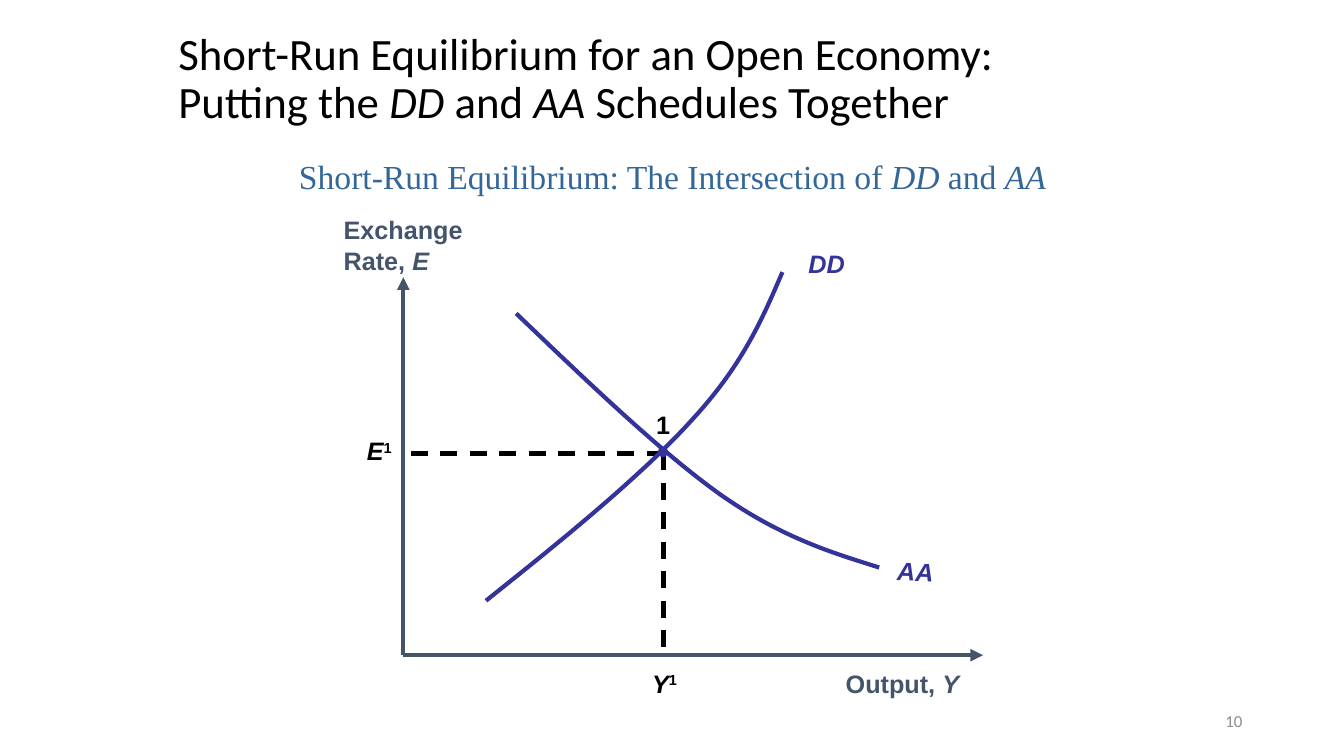
from lxml import etree
from pptx import Presentation
from pptx.dml.color import RGBColor
from pptx.enum.dml import MSO_LINE
from pptx.enum.shapes import MSO_CONNECTOR, MSO_SHAPE
from pptx.enum.text import MSO_ANCHOR, PP_ALIGN
from pptx.oxml.ns import qn
from pptx.util import Inches, Pt

BLACK = RGBColor(0x00, 0x00, 0x00)
SLATE = RGBColor(0x44, 0x54, 0x6A)
INDIGO = RGBColor(0x33, 0x33, 0x99)
STEEL_BLUE = RGBColor(0x33, 0x66, 0x99)
GRAY = RGBColor(0x8C, 0x8C, 0x8C)

presentation = Presentation()
presentation.slide_width = Inches(13.33)
presentation.slide_height = Inches(7.5)
slide = presentation.slides.add_slide(presentation.slide_layouts[6])
shapes = slide.shapes


def add_text(box, lines, font_name, size, color, bold=False, wrap=False,
             align=PP_ALIGN.LEFT, anchor=MSO_ANCHOR.TOP):
    """Add a text box; each line is a list of (text, style), style "i" or "sup" or ""."""
    shape = shapes.add_textbox(*[Inches(length) for length in box])
    frame = shape.text_frame
    frame.word_wrap = wrap
    frame.vertical_anchor = anchor
    for index, line in enumerate(lines):
        paragraph = frame.add_paragraph() if index else frame.paragraphs[0]
        paragraph.alignment = align
        for text, style in line:
            run = paragraph.add_run()
            run.text = text
            font = run.font
            font.name, font.size, font.bold = font_name, Pt(size), bold
            font.italic = style == "i"
            font.color.rgb = color
            if style == "sup":
                run._r.get_or_add_rPr().set("baseline", "30000")
    return shape


def add_line(start, end, color):
    x1, y1, x2, y2 = [Inches(length) for length in (*start, *end)]
    line = shapes.add_connector(MSO_CONNECTOR.STRAIGHT, x1, y1, x2, y2)
    line.line.color.rgb = color
    line.line.width = Pt(3)
    etree.SubElement(line._element.spPr, qn("a:effectLst"))
    return line


# Title, subtitle and page number
title = add_text(
    (1.67, 0.17, 8.58, 1.25),
    [[("Short-Run Equilibrium for an Open Economy: Putting the ", ""), ("DD", "i"),
      (" and ", ""), ("AA ", "i"), ("Schedules Together", "")]],
    "Calibri", 32, BLACK, wrap=True, anchor=MSO_ANCHOR.MIDDLE)
title.text_frame.paragraphs[0].line_spacing = 0.9
add_text(
    (1.67, 1.42, 10, 0.58),
    [[("Short-Run Equilibrium: The Intersection of ", ""), ("DD", "i"),
      (" and ", ""), ("AA", "i")]],
    "Times New Roman", 24, STEEL_BLUE, wrap=True,
    align=PP_ALIGN.CENTER, anchor=MSO_ANCHOR.BOTTOM)
add_text((9.42, 6.95, 3, 0.4), [[("10", "")]], "Calibri", 12, GRAY, wrap=True,
         align=PP_ALIGN.RIGHT, anchor=MSO_ANCHOR.MIDDLE)

# Axes
origin = (4, 6.5)
for axis_tip in [(4, 2.75), (9.75, 6.5)]:
    axis = add_line(origin, axis_tip, SLATE)
    etree.SubElement(axis.line._get_or_add_ln(), qn("a:tailEnd"), type="triangle")

# Dashed guides from the equilibrium point to both axes
equilibrium = (6.58, 4.5)
for guide_end in [(origin[0], equilibrium[1]), (equilibrium[0], origin[1])]:
    guide = add_line(equilibrium, guide_end, BLACK)
    guide.line.dash_style = MSO_LINE.DASH

# Schedules, each made of two cubic Bezier pieces sampled finely
AA_CONTROLS = [(5.12, 3.11), (5.84, 3.8), (6.56, 4.49), (7.15, 4.91),
               (7.75, 5.33), (8.24, 5.48), (8.72, 5.63)]
DD_CONTROLS = [(4.82, 5.96), (5.6, 5.34), (6.37, 4.71), (6.86, 4.17),
               (7.36, 3.63), (7.56, 3.17), (7.76, 2.7)]
STEPS = 24
for controls in (AA_CONTROLS, DD_CONTROLS):
    points = []
    for first in (0, 3):
        piece = controls[first:first + 4]
        for step in range(1, STEPS + 1):
            t = step / STEPS
            weights = ((1 - t) ** 3, 3 * t * (1 - t) ** 2, 3 * t ** 2 * (1 - t), t ** 3)
            points.append([Inches(sum(weight * point[k] for weight, point in zip(weights, piece)))
                           for k in (0, 1)])
    start_x, start_y = controls[0]
    builder = shapes.build_freeform(Inches(start_x), Inches(start_y))
    builder.add_line_segments(points, close=False)
    curve = builder.convert_to_shape()
    curve.shadow.inherit = False
    curve.fill.background()
    curve.line.color.rgb = INDIGO
    curve.line.width = Pt(3)

# Equilibrium point
dot = shapes.add_shape(MSO_SHAPE.OVAL, Inches(6.53), Inches(4.44), Inches(0.09), Inches(0.09))
dot.shadow.inherit = False
dot.fill.solid()
dot.fill.fore_color.rgb = INDIGO
dot.line.color.rgb = INDIGO
dot.line.width = Pt(0.75)

# Diagram labels: box, lines, colour, rotation
LABELS = [
    ((3.31, 2.08, 1.38, 0.7), [[("Exchange", "")], [("Rate, ", ""), ("E", "i")]], SLATE, 0),
    ((8.29, 6.58, 1.33, 0.4), [[("Output, ", ""), ("Y", "i")]], SLATE, 0),
    ((8.8, 5.47, 0.56, 0.4), [[("AA", "i")]], INDIGO, 1.6),
    ((7.92, 2.41, 0.56, 0.4), [[("DD", "i")]], INDIGO, 0),
    ((6.37, 6.58, 0.46, 0.4), [[("Y", "i"), ("1", "sup")]], BLACK, 0),
    ((3.54, 4.27, 0.46, 0.4), [[("E", "i"), ("1", "sup")]], BLACK, 0),
    ((6.41, 4.01, 0.34, 0.4), [[("1", "")]], BLACK, 0),
]
for box, lines, color, rotation in LABELS:
    label = add_text(box, lines, "Arial", 18, color, bold=True)
    if rotation:
        label.rotation = rotation

presentation.save("out.pptx")
